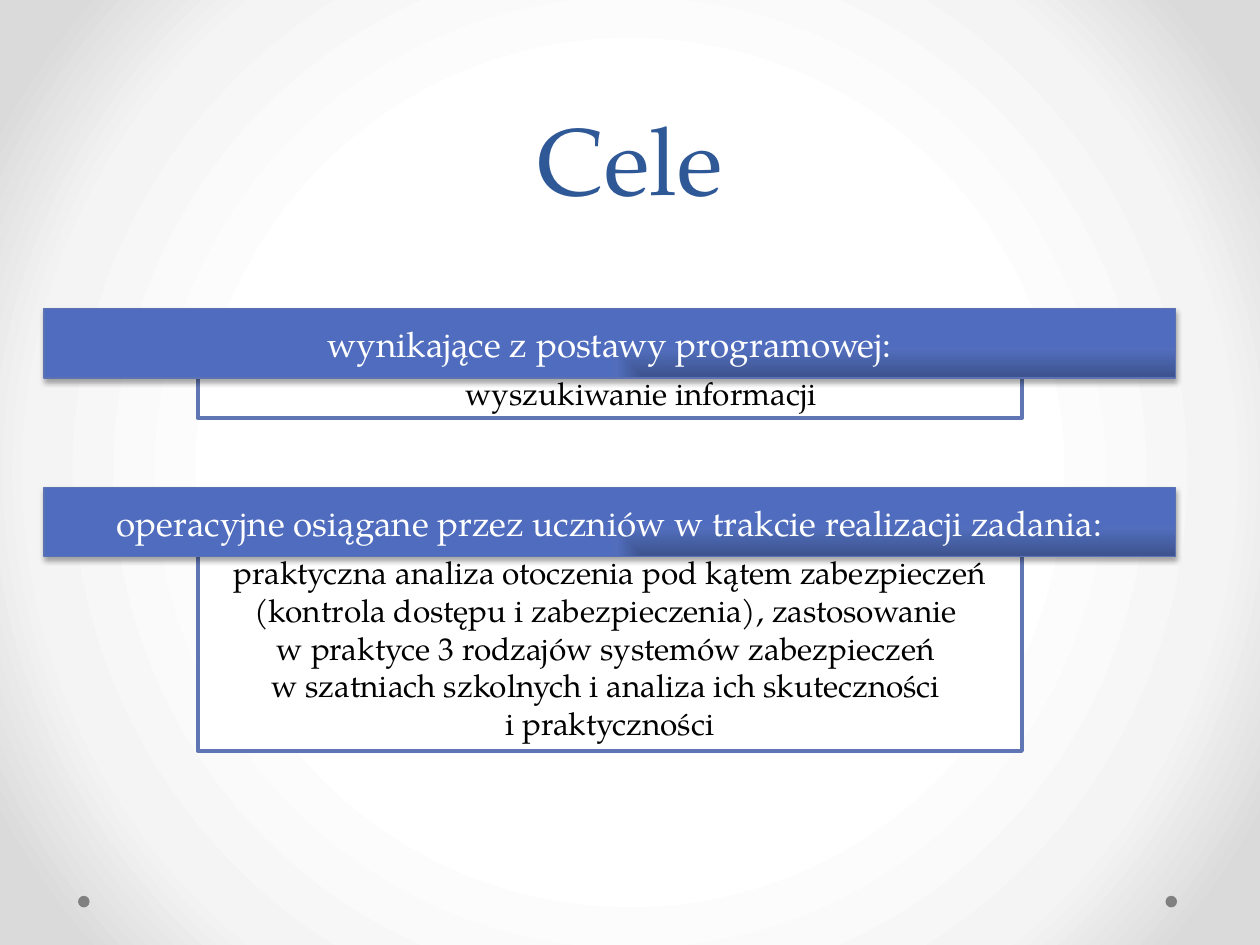
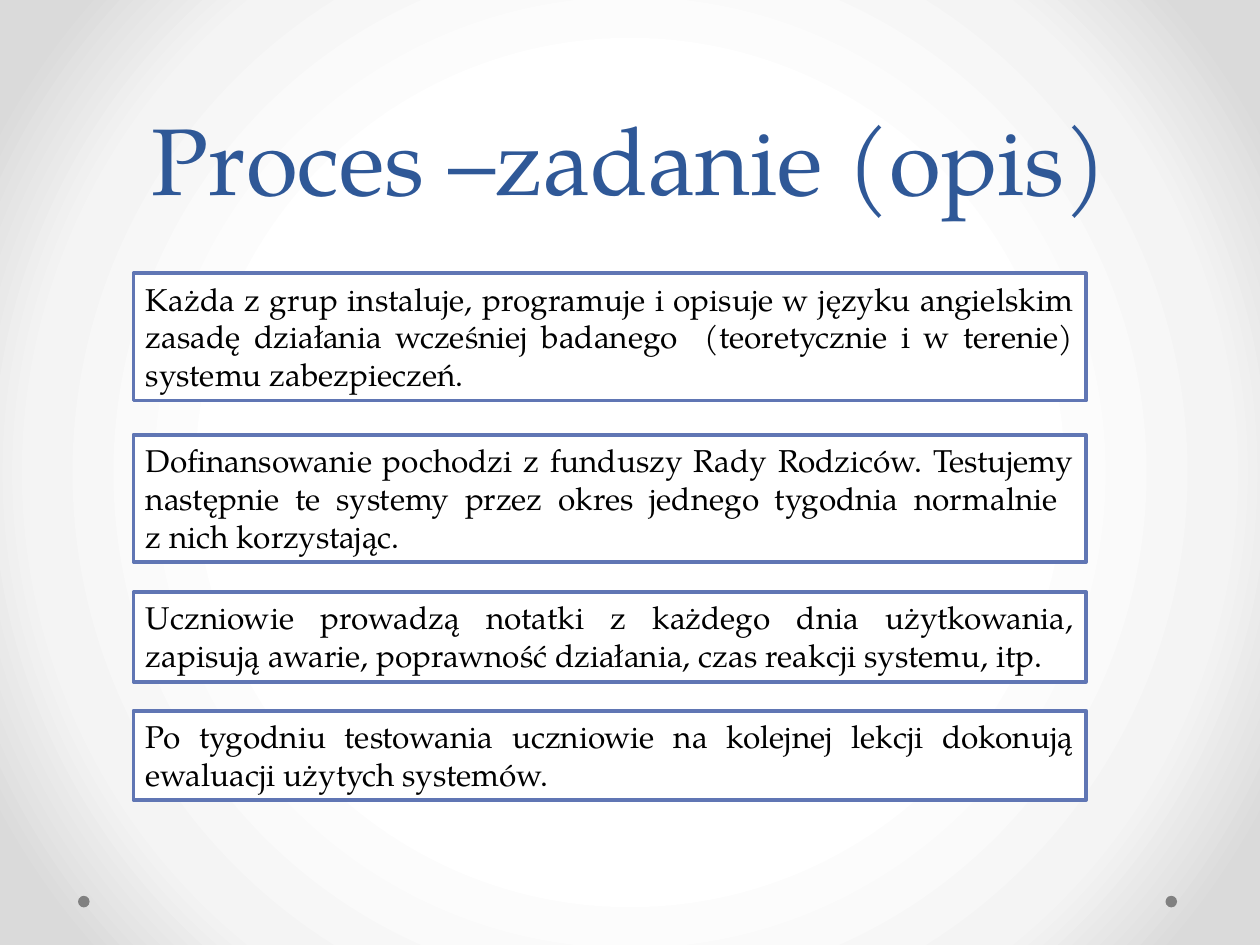
from dataclasses import dataclass
from pptx import Presentation
from pptx.dml.color import RGBColor
from pptx.enum.shapes import MSO_SHAPE as SHAPE
from pptx.enum.text import MSO_ANCHOR as ANCHOR, MSO_AUTO_SIZE as AUTO, PP_ALIGN as ALIGN
from pptx.oxml import parse_xml
from pptx.oxml.ns import nsdecls, qn
from pptx.util import Pt


@dataclass(frozen=True)
class Theme:
    font: str = "TeX Gyre Pagella"
    title: str = "2F5897"
    text: str = "000000"
    white: str = "FFFFFF"
    dot: str = "808080"
    box_line: str = "6076B4"
    bar_line: str = "5C72B2"
    bar: tuple = ((7, "3E5490"), (80, "516DBB"), (100, "4F6CBE"))
    back: tuple = ((50, "FFFFFF"), (76, "F4F4F4"), (92, "DADADA"))
    title_size: int = 54
    bar_size: int = 20
    text_size: int = 18


T = Theme()


def set_gradient(parent, stops, kind, focus):
    gs = "".join(f'<a:gs pos="{pos * 1000}"><a:srgbClr val="{c}"/></a:gs>' for pos, c in stops)
    rect = " ".join(f'{side}="{v * 1000}"' for side, v in zip("ltrb", focus))
    grad = parse_xml(
        f'<a:gradFill {nsdecls("a")} rotWithShape="1"><a:gsLst>{gs}</a:gsLst>'
        f'<a:path path="{kind}"><a:fillToRect {rect}/></a:path></a:gradFill>'
    )
    parent.replace(parent.find(qn("a:solidFill")), grad)


def add_block(s, box, text, size, color, align, anchor=ANCHOR.TOP, fill=None, line=None, width=2.25):
    sp = s.shapes.add_shape(SHAPE.RECTANGLE, *map(Pt, box)) if fill else s.shapes.add_textbox(*map(Pt, box))
    if fill:
        sp.shadow.inherit = False
        sp.fill.solid()
        sp.fill.fore_color.rgb = RGBColor.from_string(fill)
        sp.line.color.rgb = RGBColor.from_string(line)
        sp.line.width = Pt(width)
    tf = sp.text_frame
    tf.word_wrap = True
    tf.vertical_anchor = anchor
    p = tf.paragraphs[0]
    p.text = text
    p.alignment = align
    for r in p.runs:
        r.font.name = T.font
        r.font.size = Pt(size)
        r.font.color.rgb = RGBColor.from_string(color)
    return sp


prs = Presentation()
prs.slide_width, prs.slide_height = Pt(720), Pt(540)

master = prs.slide_master
master.background.fill.solid()
set_gradient(master.element.xpath(".//p:bgPr")[0], T.back, "circle", (50, 50, 50, 50))

slides = []
for title in ("Cele", "Proces –zadanie (opis)"):
    s = prs.slides.add_slide(prs.slide_layouts[6])
    for left in (666, 44.6):
        dot = s.shapes.add_shape(SHAPE.OVAL, Pt(left), Pt(511.9), Pt(6.6), Pt(6.6))
        dot.shadow.inherit = False
        dot.fill.solid()
        dot.fill.fore_color.rgb = RGBColor.from_string(T.dot)
        dot.line.fill.background()
    sp = add_block(s, (36, 0, 648, 126), title, T.title_size, T.title, ALIGN.CENTER, ANCHOR.BOTTOM)
    sp.text_frame.paragraphs[0].line_spacing = Pt(58)
    slides.append(s)

goals, process = slides

goal_items = (
    (176.4, "wynikające z postawy programowej:", 210.2, 28.8, 1, "wyszukiwanie informacji"),
    (278.6, "operacyjne osiągane przez uczniów w trakcie realizacji zadania:", 312.5, 116.6, 0,
     "praktyczna analiza otoczenia pod kątem zabezpieczeń (kontrola dostępu i zabezpieczenia), zastosowanie \n"
     "w praktyce 3 rodzajów systemów zabezpieczeń \n"
     "w szatniach szkolnych i analiza ich skuteczności \n"
     "i praktyczności"),
)
for bar_top, heading, top, height, level, text in goal_items:
    sp = add_block(goals, (113, top, 471, height), text, T.text_size, T.text, ALIGN.CENTER,
                   fill=T.white, line=T.box_line)
    sp.text_frame.auto_size = AUTO.SHAPE_TO_FIT_TEXT
    p = sp.text_frame.paragraphs[0]
    p.level = level
    p._p.get_or_add_pPr().set("marL", str(Pt(36 * level)))

    bar = add_block(goals, (25.2, bar_top, 646.6, 39.6), heading, T.bar_size, T.white, ALIGN.CENTER,
                    ANCHOR.MIDDLE, T.bar[1][1], T.bar_line, 0.75)
    props = bar._element.spPr
    set_gradient(props, T.bar, "rect", (100, 100, 0, 0))
    props.find(qn("a:effectLst")).append(parse_xml(
        f'<a:outerShdw {nsdecls("a")} blurRad="{Pt(3.1)}" dist="{Pt(1.8)}" dir="5400000" rotWithShape="0">'
        '<a:srgbClr val="000000"><a:alpha val="35000"/></a:srgbClr></a:outerShdw>'
    ))

steps = (
    (156.2, 72.7, "Każda z grup instaluje, programuje i opisuje w języku angielskim zasadę działania "
                  "wcześniej badanego  (teoretycznie i w terenie) systemu zabezpieczeń."),
    (248.4, 72.7, "Dofinansowanie pochodzi z funduszy Rady Rodziców. Testujemy następnie te systemy "
                  "przez okres jednego tygodnia normalnie \nz nich korzystając."),
    (338.4, 51.1, "Uczniowie prowadzą notatki z każdego dnia użytkowania, zapisują awarie, "
                  "poprawność działania, czas reakcji systemu, itp."),
    (406.1, 51.1, "Po tygodniu testowania uczniowie na kolejnej lekcji dokonują ewaluacji użytych systemów."),
)
for top, height, text in steps:
    sp = add_block(process, (76.3, top, 544.3, height), text, T.text_size, T.text, ALIGN.JUSTIFY,
                   fill=T.white, line=T.box_line)
    sp.text_frame.auto_size = AUTO.SHAPE_TO_FIT_TEXT

prs.save("out.pptx")
